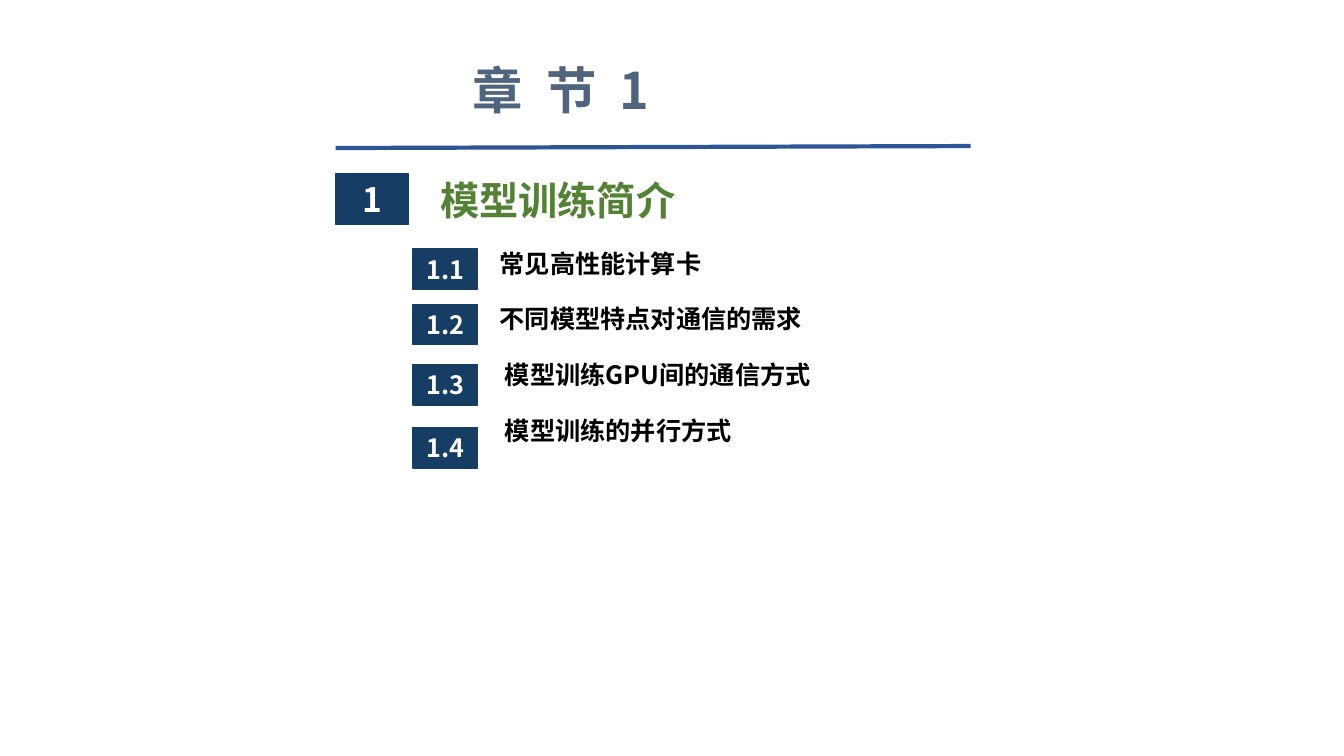
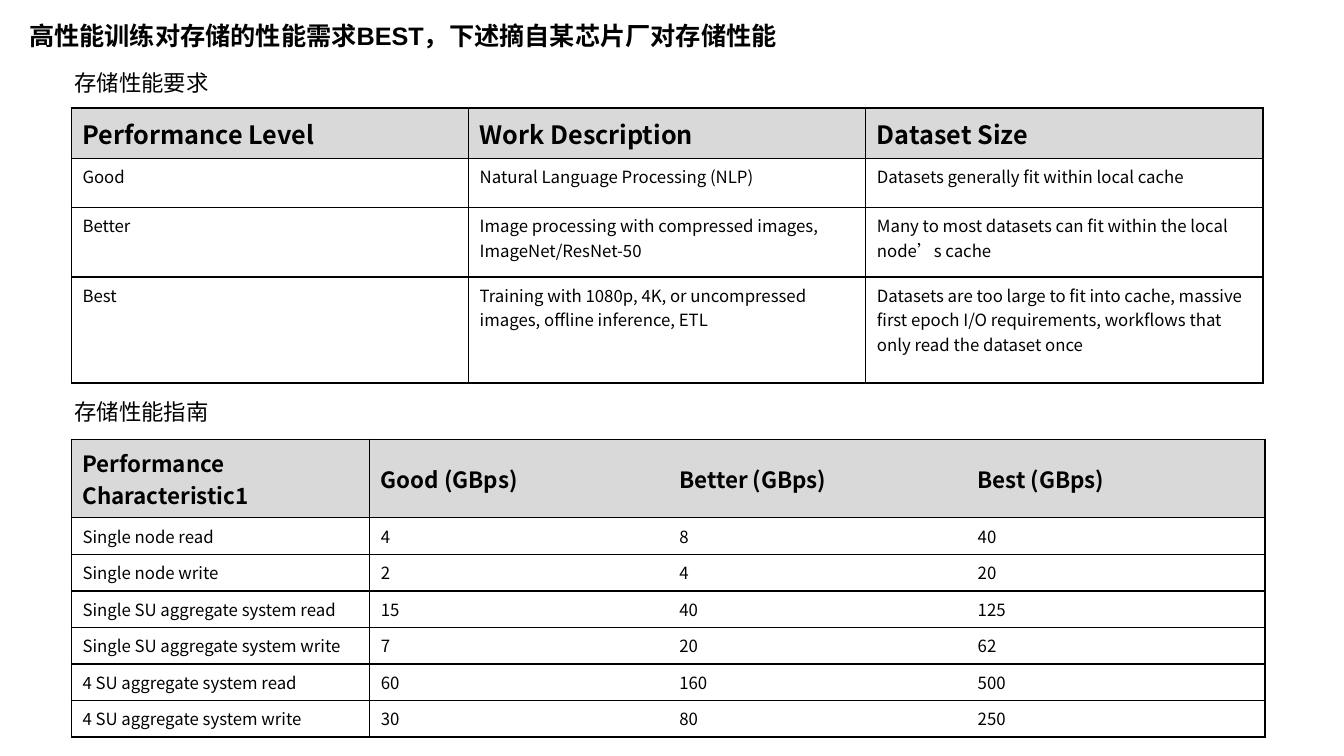
from dataclasses import dataclass
from lxml.etree import SubElement
from pptx import Presentation
from pptx.dml.color import RGBColor
from pptx.enum.shapes import MSO_CONNECTOR, MSO_SHAPE
from pptx.enum.text import MSO_ANCHOR, MSO_AUTO_SIZE, PP_ALIGN
from pptx.oxml.ns import qn
from pptx.util import Cm, Pt


@dataclass(frozen=True)
class Theme:
    sans: str = "Noto Sans CJK SC"
    latin: str = "Arial"
    black: str = "000000"
    white: str = "FFFFFF"
    navy: str = "163E64"
    blue: str = "2F5597"
    green: str = "548235"
    slate: str = "51647E"
    gray: str = "D9D9D9"
    banner: int = 36
    head: int = 28
    badge: int = 24
    text: int = 18
    label: int = 16
    small: int = 12


THEME = Theme()

TOPICS = [
    ("1.1", "常见高性能计算卡", 6.27, 0),
    ("1.2", "不同模型特点对通信的需求", 7.67, 0),
    ("1.3", "模型训练GPU间的通信方式", 9.19, 0.13),
    ("1.4", "模型训练的并行方式", 10.77, 0.13),
]

LEVELS = [
    ("Performance Level", "Work Description", "Dataset Size"),
    ("Good", "Natural Language Processing (NLP)",
     "Datasets generally fit within local cache"),
    ("Better", "Image processing with compressed images, ImageNet/ResNet-50",
     "Many to most datasets can fit within the local node’s cache"),
    ("Best", "Training with 1080p, 4K, or uncompressed images, offline inference, ETL",
     "Datasets are too large to fit into cache, massive first epoch I/O "
     "requirements, workflows that only read the dataset once"),
]

SPEEDS = [
    ("Performance Characteristic1", "Good (GBps)", "Better (GBps)", "Best (GBps)"),
    ("Single node read", "4", "8", "40"),
    ("Single node write", "2", "4", "20"),
    ("Single SU aggregate system read", "15", "40", "125"),
    ("Single SU aggregate system write", "7", "20", "62"),
    ("4 SU aggregate system read", "60", "160", "500"),
    ("4 SU aggregate system write", "30", "80", "250"),
]


def color(code):
    return RGBColor.from_string(code)


def add_run(para, text, size, tone=THEME.black, bold=False, face=THEME.sans):
    run = para.add_run()
    run.text = text
    font = run.font
    font.size, font.bold, font.name = Pt(size), bold, face
    font.color.rgb = color(tone)
    props = run._r.get_or_add_rPr()
    SubElement(props, qn("a:ea")).set("typeface", THEME.sans)
    return run


def place(shape, left, top, width, height):
    shape.left, shape.top = Cm(left), Cm(top)
    shape.width, shape.height = Cm(width), Cm(height)


def set_title(slide, box, align, anchor):
    title = slide.shapes.title
    place(title, *box)
    frame = title.text_frame
    frame.auto_size = MSO_AUTO_SIZE.NONE
    frame.vertical_anchor = anchor
    para = frame.paragraphs[0]
    para.alignment = align
    return para


def add_text(slide, box, text, size, tone=THEME.black, bold=False, wrap=True):
    frame = slide.shapes.add_textbox(*map(Cm, box)).text_frame
    frame.word_wrap = wrap
    add_run(frame.paragraphs[0], text, size, tone, bold)


def add_tag(slide, box, text, size):
    tag = slide.shapes.add_shape(MSO_SHAPE.RECTANGLE, *map(Cm, box))
    tag.shadow.inherit = False
    tag.fill.solid()
    tag.fill.fore_color.rgb = color(THEME.navy)
    tag.line.color.rgb = color(THEME.navy)
    tag.line.width = Pt(1)
    frame = tag.text_frame
    frame.vertical_anchor = MSO_ANCHOR.MIDDLE
    para = frame.paragraphs[0]
    para.alignment = PP_ALIGN.CENTER
    add_run(para, text, size, THEME.white, True)


def add_rule(slide, *ends):
    rule = slide.shapes.add_connector(MSO_CONNECTOR.STRAIGHT, *map(Cm, ends))
    rule.line.color.rgb = color(THEME.blue)
    rule.line.width = Pt(3)
    SubElement(rule._element.spPr, qn("a:effectLst"))


def add_list(slide, box):
    body = slide.placeholders[1]
    place(body, *box)
    frame = body.text_frame
    frame.auto_size = MSO_AUTO_SIZE.NONE
    for num, (_, text, _, shift) in enumerate(TOPICS):
        para = frame.add_paragraph() if num else frame.paragraphs[0]
        props = para._p.get_or_add_pPr()
        props.set("marL", str(Cm(shift)))
        props.set("indent", "0")
        SubElement(props, qn("a:buNone"))
        para.space_before = Pt(18.2 if num else 0)
        add_run(para, text, THEME.text, bold=True)


def add_edge(cell, side, shown):
    edge = SubElement(cell._tc.get_or_add_tcPr(), qn(f"a:ln{side}"))
    edge.set("w", str(Pt(1)))
    if shown:
        fill = SubElement(edge, qn("a:solidFill"))
        SubElement(fill, qn("a:srgbClr")).set("val", THEME.black)
    else:
        SubElement(edge, qn("a:noFill"))


def fill_cell(cell, text, head, size, left, right):
    for side, shown in zip("LRTB", (left, right, True, True)):
        add_edge(cell, side, shown)
    cell.fill.solid()
    cell.fill.fore_color.rgb = color(THEME.gray if head else THEME.white)
    cell.margin_left = cell.margin_right = Cm(0.28)
    cell.margin_top = cell.margin_bottom = Cm(0.15)
    cell.vertical_anchor = MSO_ANCHOR.MIDDLE if head else MSO_ANCHOR.TOP
    add_run(cell.text_frame.paragraphs[0], text,
            size if head else THEME.small, bold=head)


def add_grid(slide, top, data, width, heights, size, bars):
    cols = len(data[0])
    grid = slide.shapes.add_table(
        len(data), cols, Cm(1.8), Cm(top),
        Cm(width * cols), Cm(sum(heights))).table
    grid.first_row = grid.horz_banding = False
    for col in grid.columns:
        col.width = Cm(width)
    for y, (line, height) in enumerate(zip(data, heights)):
        grid.rows[y].height = Cm(height)
        for x, text in enumerate(line):
            fill_cell(grid.cell(y, x), text, y == 0, size,
                      x in bars, x + 1 in bars)


def add_cover(deck):
    slide = deck.slides.add_slide(deck.slide_layouts[1])
    para = set_title(slide, (6.26, 1.22, 15.75, 2.08),
                     PP_ALIGN.CENTER, MSO_ANCHOR.MIDDLE)
    for text in "章 节 1":
        run = add_run(para, text, THEME.banner, THEME.slate, True)
        if text == " ":
            run._r.get_or_add_rPr().set("spc", "800")
    add_rule(slide, 8.46, 3.73, 24.46, 3.68)
    add_tag(slide, (8.46, 4.39, 1.83, 1.27), "1", THEME.badge)
    add_text(slide, (10.85, 4.32, 15.6, 1.45), "模型训练简介",
             THEME.head, THEME.green, True)
    add_list(slide, (12.34, 6.12, 15.6, 5.8))
    for mark, _, top, _ in TOPICS:
        add_tag(slide, (10.41, top, 1.63, 1.02), mark, THEME.text)


def add_specs(deck):
    slide = deck.slides.add_slide(deck.slide_layouts[5])
    para = set_title(slide, (0.48, 0.46, 30.48, 1.96),
                     PP_ALIGN.LEFT, MSO_ANCHOR.TOP)
    para.line_spacing = 0.9
    add_run(para, "高性能训练对存储的性能需求BEST，下述摘自某芯片厂对存储性能",
            THEME.text, bold=True, face=THEME.latin)
    for top, text in ((1.63, "存储性能要求"), (9.91, "存储性能指南")):
        add_text(slide, (1.63, top, 3.94, 0.94), text, THEME.label, wrap=False)
    add_grid(slide, 2.72, LEVELS, 10.01, (1.27, 1.24, 1.75, 2.67),
             THEME.text, (0, 1, 2, 3))
    add_grid(slide, 11.07, SPEEDS, 7.52, (1.98,) + (0.92,) * 6,
             THEME.label, (0, 1, 4))


def main():
    deck = Presentation()
    deck.slide_width, deck.slide_height = Cm(33.87), Cm(19.05)
    add_cover(deck)
    add_specs(deck)
    deck.save("out.pptx")


if __name__ == "__main__":
    main()
